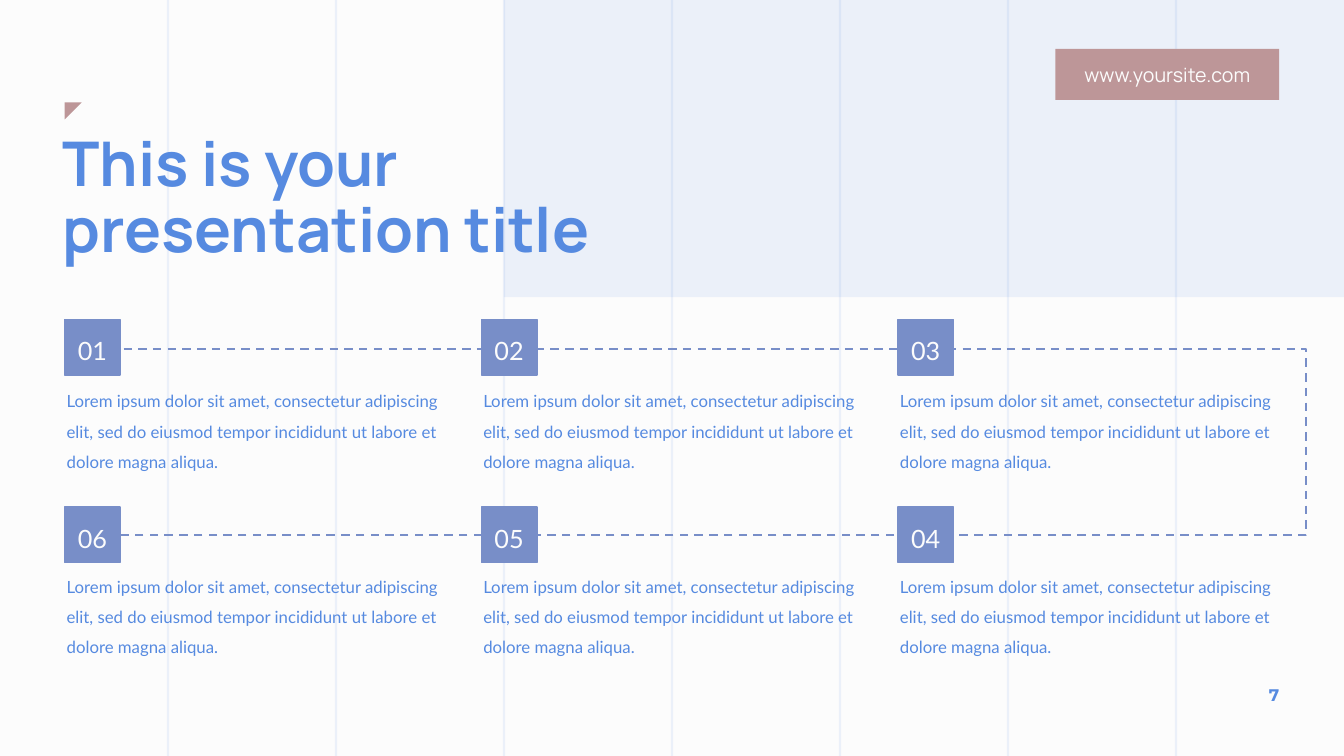
import pptx
import pptx.dml.color
import pptx.enum.dml
import pptx.enum.shapes
import pptx.enum.text
import pptx.oxml
import pptx.oxml.ns
import pptx.util

Cm = pptx.util.Cm
Pt = pptx.util.Pt
Align = pptx.enum.text.PP_ALIGN
Anchor = pptx.enum.text.MSO_ANCHOR
Kind = pptx.enum.shapes.MSO_SHAPE

HEX = {"blue": "568AE0", "slate": "788EC8", "rose": "BD9698", "pale": "FCFCFC"}
WIDTH, HEIGHT = 33.87, 19.05
BANDS = 8
LEFT, STEP, SIDE = 1.63, 10.5, 1.4
ROWS = [
    (8.05, 9.6, ["01", "02", "03"]),
    (12.78, 14.27, ["06", "05", "04"]),
]
BODY = (
    "Lorem ipsum dolor sit amet, consectetur adipiscing elit, sed do eiusmod "
    "tempor incididunt ut labore et dolore magna aliqua."
)


def rgb(name):
    return pptx.dml.color.RGBColor.from_string(HEX[name])


def fade(item, percent):
    """Set the opacity of the one colour in a shape's fill or line."""
    color = item._element.spPr.find(".//" + pptx.oxml.ns.qn("a:srgbClr"))
    space = pptx.oxml.ns.nsdecls("a")
    color.append(pptx.oxml.parse_xml(f'<a:alpha {space} val="{percent * 1000}"/>'))


def write(shape, text, font, size, color, align=Align.LEFT, space=1.0,
          bold=False, anchor=Anchor.MIDDLE, inset=None):
    frame = shape.text_frame
    frame.text = text
    frame.word_wrap = True
    frame.vertical_anchor = anchor
    if inset is not None:
        frame.margin_left, frame.margin_top, frame.margin_right, frame.margin_bottom = (
            Cm(edge) for edge in inset)
    para = frame.paragraphs[0]
    para.alignment = align
    para.line_spacing = space
    run = para.runs[0].font
    run.name, run.size, run.bold = font, Pt(size), bold
    run.color.rgb = rgb(color)


def add_block(slide, box, color, kind=Kind.RECTANGLE):
    block = slide.shapes.add_shape(kind, *map(Cm, box))
    block.shadow.inherit = False
    block.fill.solid()
    block.fill.fore_color.rgb = rgb(color)
    block.line.fill.background()
    return block


def add_label(slide, box, text, *style, **more):
    label = slide.shapes.add_textbox(*map(Cm, box))
    write(label, text, *style, **more)


def add_grid(slide):
    for band in range(1, BANDS):
        x = Cm(WIDTH * band / BANDS)
        line = slide.shapes.add_connector(
            pptx.enum.shapes.MSO_CONNECTOR.STRAIGHT, x, 0, x, Cm(HEIGHT))
        line.line.color.rgb = rgb("blue")
        line.line.width = Pt(1.5)
        fade(line, 10)
        line._element.spPr.append(
            pptx.oxml.parse_xml(f'<a:effectLst {pptx.oxml.ns.nsdecls("a")}/>'))


def add_route(slide):
    """Draw the dashed line that links the steps, turning at the right."""
    top, low, right = 8.79, 13.49, 32.92
    build = slide.shapes.build_freeform(Cm(LEFT), Cm(top))
    build.add_line_segments(
        [(Cm(x), Cm(y)) for x, y in [(right, top), (right, low), (LEFT, low)]],
        close=False)
    route = build.convert_to_shape()
    route.shadow.inherit = False
    route.fill.background()
    route.line.color.rgb = rgb("slate")
    route.line.width = Pt(1.5)
    route.line.dash_style = pptx.enum.dml.MSO_LINE.DASH


def add_step(slide, col, top, base, number):
    x = LEFT + col * STEP
    square = add_block(slide, (x, top, SIDE, SIDE), "slate")
    square.line.color.rgb = rgb("slate")
    square.line.width = Pt(1)
    write(square, number, "Lato", 18, "pale", Align.CENTER, 1.5,
          inset=(0, 0, 0, 0.2))
    add_label(slide, (x + 0.05, base, 9.55, 2.2), BODY, "Lato", 12, "blue",
              space=1.5, anchor=Anchor.TOP, inset=(0, 0, 0, 0))


def add_title(slide, text):
    title = slide.shapes.title
    title.left, title.top, title.width, title.height = map(
        Cm, (1.32, 3.23, 18.47, 4.01))
    write(title, text, "Manrope", 44, "blue", space=0.9, bold=True,
          anchor=Anchor.TOP)


def main():
    deck = pptx.Presentation()
    deck.slide_width, deck.slide_height = Cm(WIDTH), Cm(HEIGHT)
    slide = deck.slides.add_slide(deck.slide_layouts[5])
    slide.background.fill.solid()
    slide.background.fill.fore_color.rgb = rgb("pale")

    panel = add_block(slide, (12.7, 0, WIDTH - 12.7, 7.49), "blue")
    fade(panel, 10)
    add_grid(slide)
    corner = add_block(slide, (LEFT, 2.58, 0.43, 0.43), "rose", Kind.RIGHT_TRIANGLE)
    corner.rotation = 90
    add_title(slide, "This is your presentation title")

    add_route(slide)
    for top, base, numbers in ROWS:
        for col, number in enumerate(numbers):
            add_step(slide, col, top, base, number)

    site = add_block(slide, (26.6, 1.23, 5.64, 1.29), "rose")
    write(site, "www.yoursite.com", "Manrope", 14, "pale", Align.CENTER)
    add_label(slide, (31.34, 16.99, 1.15, 1.02), "7", "Montserrat", 12, "blue",
              Align.RIGHT, bold=True)
    # The title stays above the panel and the grid.
    slide.shapes._spTree.append(slide.shapes.title._element)
    deck.save("out.pptx")


if __name__ == "__main__":
    main()
